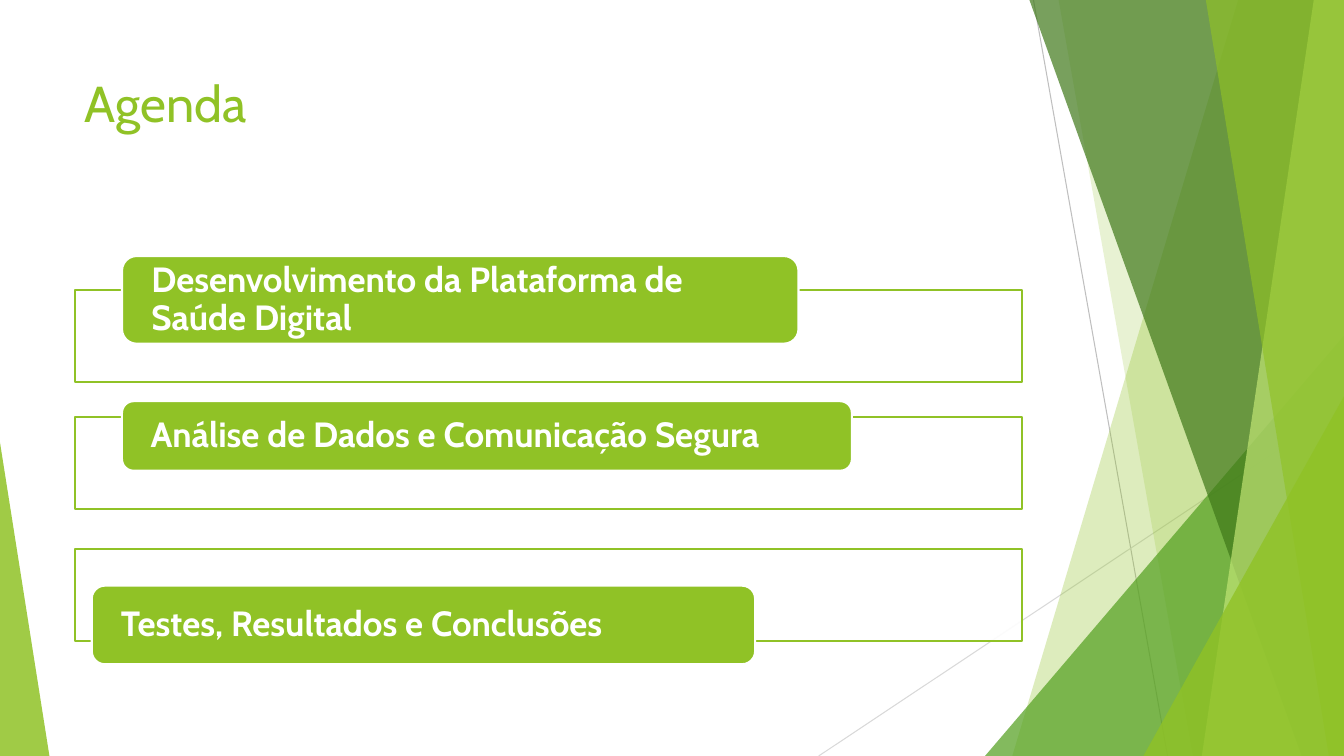
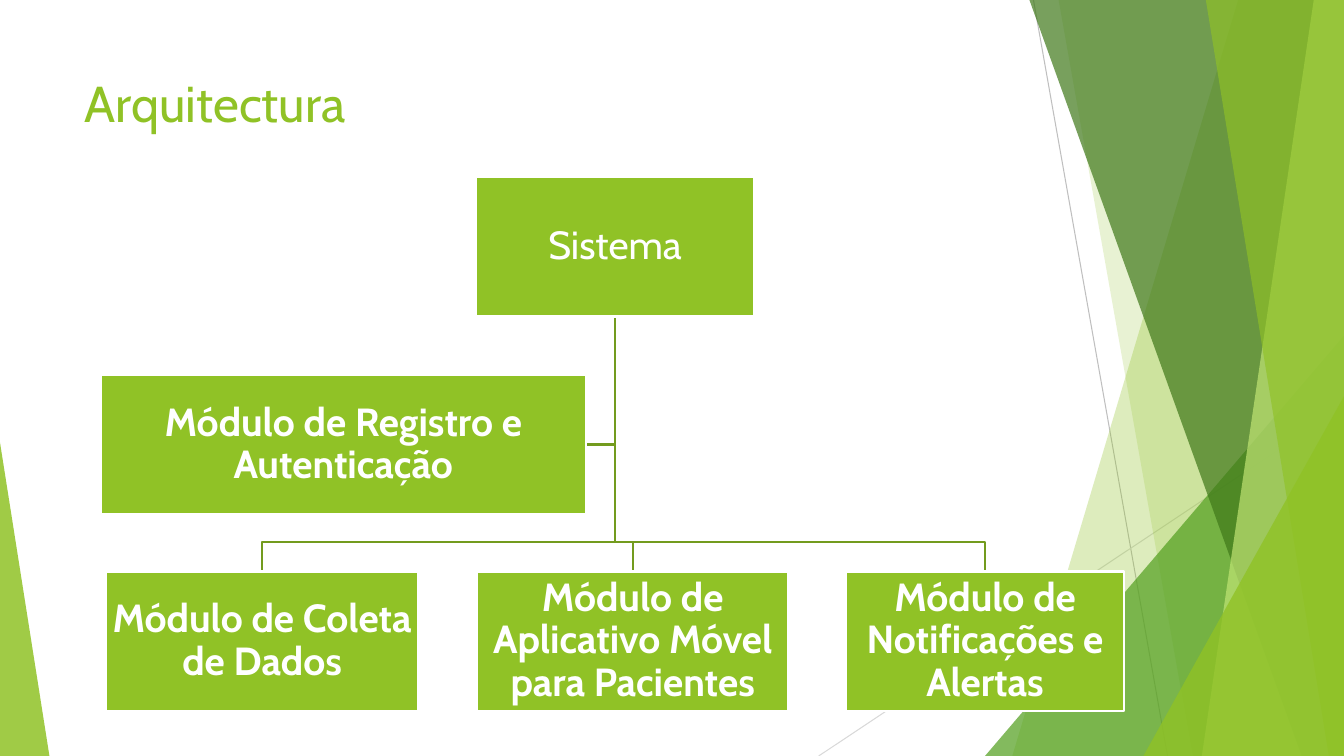
from lxml import etree
from pptx import Presentation
from pptx.dml.color import RGBColor
from pptx.enum.shapes import MSO_CONNECTOR, MSO_SHAPE
from pptx.enum.text import MSO_ANCHOR, PP_ALIGN
from pptx.oxml.ns import qn
from pptx.util import Inches, Pt

RECTANGLE = MSO_SHAPE.RECTANGLE
ROUNDED = MSO_SHAPE.ROUNDED_RECTANGLE
TRIANGLE = MSO_SHAPE.ISOSCELES_TRIANGLE
STRAIGHT = MSO_CONNECTOR.STRAIGHT
TOP, MIDDLE = MSO_ANCHOR.TOP, MSO_ANCHOR.MIDDLE
LEFT, CENTER = PP_ALIGN.LEFT, PP_ALIGN.CENTER

WIDTH, HEIGHT = 13.33, 7.5
FONT = "Cabin"
LIME, WHITE = "90C226", "FFFFFF"
LEAF, FOREST, PALE, OLIVE = "54A021", "3F7819", "C0E474", "739B1E"
TITLE_BOX = (0.74, 0.67, 9.4, 1.44)
TITLE_FONT = {"size": Pt(36), "name": FONT}
AGENDA_FONT = {"size": Pt(25), "name": FONT, "bold": True}
SYSTEM_FONT = {"size": Pt(28), "name": FONT}
MODULE_FONT = {**SYSTEM_FONT, "bold": True}


def color(hex_value):
    """Turn a hex string into a colour."""
    return RGBColor.from_string(hex_value)


def paint(shape, fill=None, opacity=100, line=None):
    """Set fill, opacity and outline, and drop the shadow."""
    shape.shadow.inherit = False
    if fill:
        shape.fill.solid()
        shape.fill.fore_color.rgb = color(fill)
    else:
        shape.fill.background()
    if opacity < 100:
        tint = shape.element.xpath("./p:spPr/a:solidFill/a:srgbClr")[0]
        etree.SubElement(tint, qn("a:alpha"), val=str(opacity * 1000))
    if line:
        shape.line.color.rgb = color(line)
        shape.line.width = Pt(1.5)
    else:
        shape.line.fill.background()


def add_box(slide, kind, box, **look):
    """Add a painted preset shape in the given box."""
    shape = slide.shapes.add_shape(kind, *map(Inches, box))
    paint(shape, **look)
    return shape


def add_outline(slide, points, close, **look):
    """Add a painted freeform through the given points."""
    corners = [(Inches(x), Inches(y)) for x, y in points]
    builder = slide.shapes.build_freeform(*corners[0])
    builder.add_line_segments(corners[1:], close=close)
    paint(builder.convert_to_shape(), **look)


def write(shape, text, font, hue, align, anchor, spacing=None, insets=None):
    """Put formatted text into a shape."""
    frame = shape.text_frame
    frame.word_wrap = True
    frame.vertical_anchor = anchor
    for side, inset in (insets or {}).items():
        setattr(frame, f"margin_{side}", Inches(inset))
    paragraph = frame.paragraphs[0]
    paragraph.alignment = align
    paragraph.line_spacing = spacing
    run = paragraph.add_run()
    run.text = text
    for key, value in font.items():
        setattr(run.font, key, value)
    run.font.color.rgb = color(hue)


def add_hairline(slide, start, end, hue):
    """Add a thin straight line without shadow."""
    hairline = slide.shapes.add_connector(STRAIGHT, *map(Inches, start + end))
    hairline.line.color.rgb = color(hue)
    hairline.line.width = Pt(0.75)
    etree.SubElement(hairline.element.spPr, qn("a:effectLst"))


def add_shard(slide, top_x, bottom_x, fill, opacity):
    """Add a translucent shard from a slanted left edge to the slide edge."""
    points = [(top_x, 0), (WIDTH, 0), (WIDTH, HEIGHT), (bottom_x, HEIGHT)]
    add_outline(slide, points, True, fill=fill, opacity=opacity)


def add_corner(slide, left, top, width, apex, fill, opacity):
    """Add a translucent right triangle standing on the slide's bottom."""
    box = (left, top, width, HEIGHT - top)
    corner = add_box(slide, TRIANGLE, box, fill=fill, opacity=opacity)
    corner.adjustments[0] = apex


def add_decor(slide):
    """Draw the green facets that all slides share."""
    add_hairline(slide, (10.25, 0), (11.58, HEIGHT), "BFBFBF")
    add_hairline(slide, (WIDTH, 4.03), (8.12, HEIGHT), "D9D9D9")
    add_shard(slide, 12.28, 10.04, LIME, 30)
    add_shard(slide, 10.5, 11.83, LIME, 20)
    add_corner(slide, 9.77, 3.33, 3.56, 1, LEAF, 72)
    add_shard(slide, 10.21, 12.91, FOREST, 70)
    add_shard(slide, 13.03, 11.92, PALE, 70)
    add_shard(slide, 11.96, 13.18, LIME, 65)
    add_corner(slide, 11.34, 3.93, 1.99, 1, LIME, 80)
    add_corner(slide, 0, 4.39, 0.49, 0, LIME, 85)


def start_slide(prs, title):
    """Add a slide with the shared facets and the styled title."""
    slide = prs.slides.add_slide(prs.slide_layouts[5])
    add_decor(slide)
    heading = slide.shapes.title
    heading.left, heading.top, heading.width, heading.height = map(Inches, TITLE_BOX)
    write(heading, title, TITLE_FONT, LIME, LEFT, TOP)
    return slide


def add_topic(slide, frame_top, label_box, text):
    """Add an agenda frame with its label."""
    frame_box = (TITLE_BOX[0], frame_top, TITLE_BOX[2], 0.91)
    add_box(slide, RECTANGLE, frame_box, fill=WHITE, opacity=90, line=LIME)
    label = add_box(slide, ROUNDED, label_box, fill=LIME, line=WHITE)
    insets = {"left": 0.25, "right": 0.25, "top": 0, "bottom": 0}
    write(label, text, AGENDA_FONT, WHITE, LEFT, MIDDLE, 0.9, insets)


def agenda_slide(prs):
    """Build the agenda."""
    slide = start_slide(prs, "Agenda")
    topics = [
        (2.88, (1.21, 2.54, 6.71, 0.87), "Desenvolvimento da Plataforma de Saúde Digital"),
        (4.14, (1.21, 3.98, 7.24, 0.69), "Análise de Dados e Comunicação Segura"),
        (5.45, (0.91, 5.81, 6.58, 0.78), "Testes, Resultados e Conclusões"),
    ]
    for topic in topics:
        add_topic(slide, *topic)


def add_node(slide, left, top, width, height, text, font):
    """Add one box of the system chart."""
    node = add_box(slide, RECTANGLE, (left, top, width, height), fill=LIME, line=WHITE)
    insets = dict.fromkeys(("left", "right", "top", "bottom"), 0.02)
    write(node, text, font, WHITE, CENTER, MIDDLE, 0.9, insets)


def architecture_slide(prs):
    """Build the system chart with its side module and lower modules."""
    slide = start_slide(prs, "Arquitectura")
    node_height, gap = 1.38, 0.29
    system_left, system_top, system_width = 4.72, 1.76, 2.76
    side_left, side_top, side_width = 1, 3.72, 4.81
    module_top = 5.67
    modules = [
        (1.05, 3.1, "Módulo de Coleta de Dados"),
        (4.73, 3.09, "Módulo de Aplicativo Móvel para Pacientes"),
        (8.39, 2.76, "Módulo de Notificações e Alertas"),
    ]
    trunk_x = system_left + system_width / 2
    trunk_top = system_top + node_height
    side_y = side_top + node_height / 2
    branch_y = module_top - gap

    routes = [[(trunk_x, side_y), (side_left + side_width, side_y)]]
    for left, width, _ in modules:
        center = left + width / 2
        routes.append([(trunk_x, branch_y), (center, branch_y), (center, module_top)])
    for route in routes:
        add_outline(slide, [(trunk_x, trunk_top)] + route, False, line=OLIVE)

    add_node(slide, system_left, system_top, system_width, node_height, "Sistema", SYSTEM_FONT)
    for left, width, text in modules:
        add_node(slide, left, module_top, width, node_height, text, MODULE_FONT)
    add_node(slide, side_left, side_top, side_width, node_height,
             "Módulo de Registro e Autenticação", MODULE_FONT)


def main():
    """Build and save the presentation."""
    prs = Presentation()
    prs.slide_width, prs.slide_height = Inches(WIDTH), Inches(HEIGHT)
    agenda_slide(prs)
    architecture_slide(prs)
    prs.save("out.pptx")


if __name__ == "__main__":
    main()
